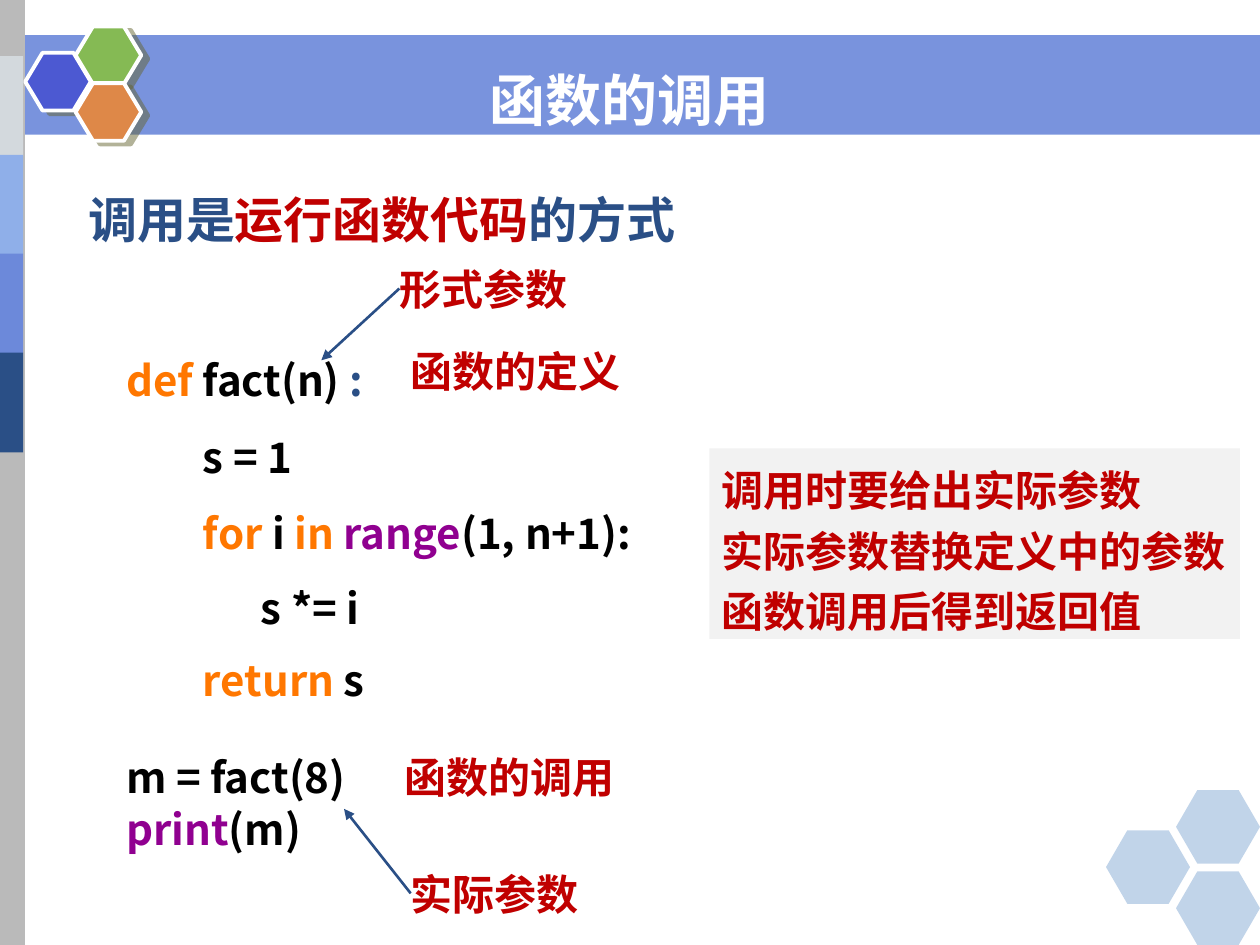
"""Build a slide that explains how a function is called."""
from lxml import etree
from pptx import Presentation, util as u
from pptx.dml import color
from pptx.enum import shapes, text
from pptx.oxml import ns

FONT = "Noto Sans CJK SC"
NAVY, RED, BLACK, WHITE = "2A4F86", "C00000", "000000", "FFFFFF"
ORANGE, PURPLE, BLUE = "FF7700", "900090", "6C89DA"

TITLE = [("函数的调用", WHITE)]
LEAD = [("调用是", NAVY), ("运行函数代码", RED), ("的方式", NAVY)]
NOTES = ["调用时要给出实际参数", "实际参数替换定义中的参数", "函数调用后得到返回值"]
DEFINITION = [
    dict(spans=[("def ", ORANGE), ("fact(n) ", BLACK), (":", NAVY)], spacing=1.5),
    dict(spans=[("s = 1", BLACK)], indent=44, spacing=1.5, before=1),
    dict(spans=[("for ", ORANGE), ("i ", BLACK), ("in ", ORANGE),
                ("range", PURPLE), ("(1, n+1):", BLACK)], indent=44, spacing=1.5),
    dict(spans=[("s *= i", BLACK)], indent=77, spacing=1.5),
    dict(spans=[("return ", ORANGE), ("s", BLACK)], indent=44, before=12),
]
CALL = [
    dict(spans=[("m = fact(8)", BLACK)]),
    dict(spans=[("print", PURPLE), ("(m)", BLACK)], before=0.9),
]
LABELS = [
    ("函数的定义", (234.7, 196.6, 150, 30.2), None),
    ("函数的调用", (231.1, 428.4, 152, 30.2), None),
    ("实际参数", (234.7, 495.4, 117, 30.2), (196.6, 462.2)),
    ("形式参数", (228.2, 149.8, 152, 30.2), (183.6, 205.9)),
]
SIDE_COLOURS = ["D3D9DD", "8FAFE9", BLUE, NAVY]
EMBLEM = [(14.4, 30.2, "4C59D2"), (43.2, 15.1, "85BA54"), (43.2, 47.5, "DE8848")]
CORNER = [(632, 474.5), (672, 451.5), (672, 498)]


def points(values):
    return [u.Pt(value) for value in values]


def rgb(code):
    return color.RGBColor.from_string(code)


def child(parent, tag, **attributes):
    return etree.SubElement(parent, ns.qn(tag), attributes)


def add_block(page, kind, area, colour, opacity=None):
    block = page.shapes.add_shape(kind, *points(area))
    block.shadow.inherit = False
    block.fill.solid()
    block.fill.fore_color.rgb = rgb(colour)
    block.line.fill.background()
    if opacity:
        swatch = block.element.spPr.find(ns.qn("a:solidFill"))[0]
        child(swatch, "a:alpha", val=str(opacity * 1000))
    return block


def add_emblem_cell(page, left, top, colour):
    cell = add_block(page, shapes.MSO_SHAPE.HEXAGON, (left, top, 37.5, 33), colour)
    cell.adjustments[0] = 0.3
    cell.line.color.rgb = rgb(WHITE)
    cell.line.width = u.Pt(2.25)
    effects = cell.element.spPr.find(ns.qn("a:effectLst"))
    shadow = child(effects, "a:outerShdw", dist=str(u.Pt(4.5)), dir=str(27 * 60000),
                   algn="ctr", rotWithShape="0")
    child(child(shadow, "a:srgbClr", val="666633"), "a:alpha", val="50000")


def write(box, lines, size=24, font=FONT, align=text.PP_ALIGN.LEFT,
          anchor=text.MSO_ANCHOR.TOP):
    frame = box.text_frame
    frame.word_wrap = True
    frame.auto_size = text.MSO_AUTO_SIZE.NONE
    frame.vertical_anchor = anchor
    for index, line in enumerate(lines):
        para = frame.add_paragraph() if index else frame.paragraphs[0]
        properties = para._p.get_or_add_pPr()
        properties.set("marL", str(u.Pt(line.get("indent", 0))))
        properties.set("indent", "0")
        child(properties, "a:buNone")
        para.alignment = align
        para.line_spacing = line.get("spacing", 1.0)
        para.space_before = u.Pt(line.get("before", 0))
        for words, colour in line["spans"]:
            span = para.add_run()
            span.text = words
            span.font.size = u.Pt(size)
            span.font.bold = True
            span.font.name = font
            span.font.color.rgb = rgb(colour)
            child(span.font._element, "a:ea", typeface=FONT)


def add_text(page, area, lines):
    box = page.shapes.add_textbox(*points(area))
    frame = box.text_frame
    frame.margin_left = frame.margin_right = frame.margin_bottom = 0
    frame.margin_top = u.Pt(0.9)
    write(box, lines)
    return box


def add_arrow(page, label, tip):
    arrow = page.shapes.add_connector(
        shapes.MSO_CONNECTOR.STRAIGHT, label.left, label.top, *points(tip))
    arrow.begin_connect(label, 1)
    arrow.line.color.rgb = rgb(NAVY)
    arrow.line.width = u.Pt(1.5)
    child(arrow.line._get_or_add_ln(), "a:tailEnd", type="triangle")
    child(arrow.element.spPr, "a:effectLst")


def place(box, area):
    box.left, box.top, box.width, box.height = points(area)
    box.element.getparent().append(box.element)


def main():
    deck = Presentation()
    deck.slide_width, deck.slide_height = u.Pt(720), u.Pt(540)
    page = deck.slides.add_slide(deck.slide_layouts[1])
    rectangle, hexagon = shapes.MSO_SHAPE.RECTANGLE, shapes.MSO_SHAPE.HEXAGON

    add_block(page, rectangle, (0, 20, 720, 57), BLUE, 91)
    add_block(page, rectangle, (0, 0, 14.2, 540), "BABABA")
    for index, colour in enumerate(SIDE_COLOURS):
        add_block(page, rectangle, (0, 32 + 56.5 * index, 13.2, 57), colour)
    for cell in EMBLEM:
        add_emblem_cell(page, *cell)
    for left, top in CORNER:
        cell = add_block(page, hexagon, (left, top, 48, 42), "5086C2", 35)
        cell.adjustments[0] = 0.29

    title, body = page.shapes.title, page.placeholders[1]
    place(title, (0, 33.8, 720, 46))
    write(title, [dict(spans=TITLE)], 32, "DejaVu Sans",
          text.PP_ALIGN.CENTER, text.MSO_ANCHOR.MIDDLE)
    notes = add_block(page, rectangle, (405.4, 256.3, 303.2, 108.8), "F2F2F2")
    write(notes, [dict(spans=[(note, RED)], spacing=1.2) for note in NOTES])
    place(body, (43.2, 104.4, 373, 75))
    write(body, [dict(spans=LEAD)], 28)

    add_text(page, (72, 187.2, 395, 217.4), DEFINITION)
    add_text(page, (72, 428.4, 195, 62.6), CALL)
    for words, area, tip in LABELS:
        label = add_text(page, area, [dict(spans=[(words, RED)])])
        if tip:
            add_arrow(page, label, tip)
    deck.save("out.pptx")


if __name__ == "__main__":
    main()
